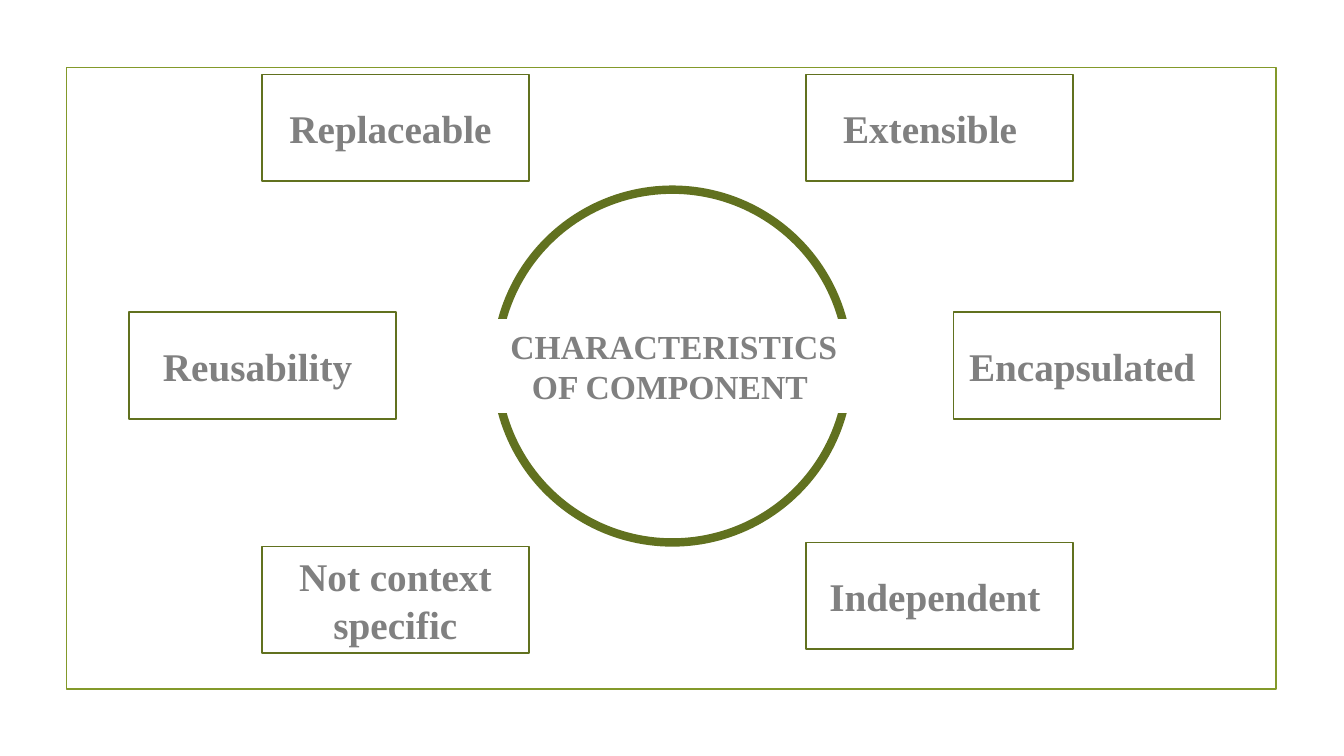
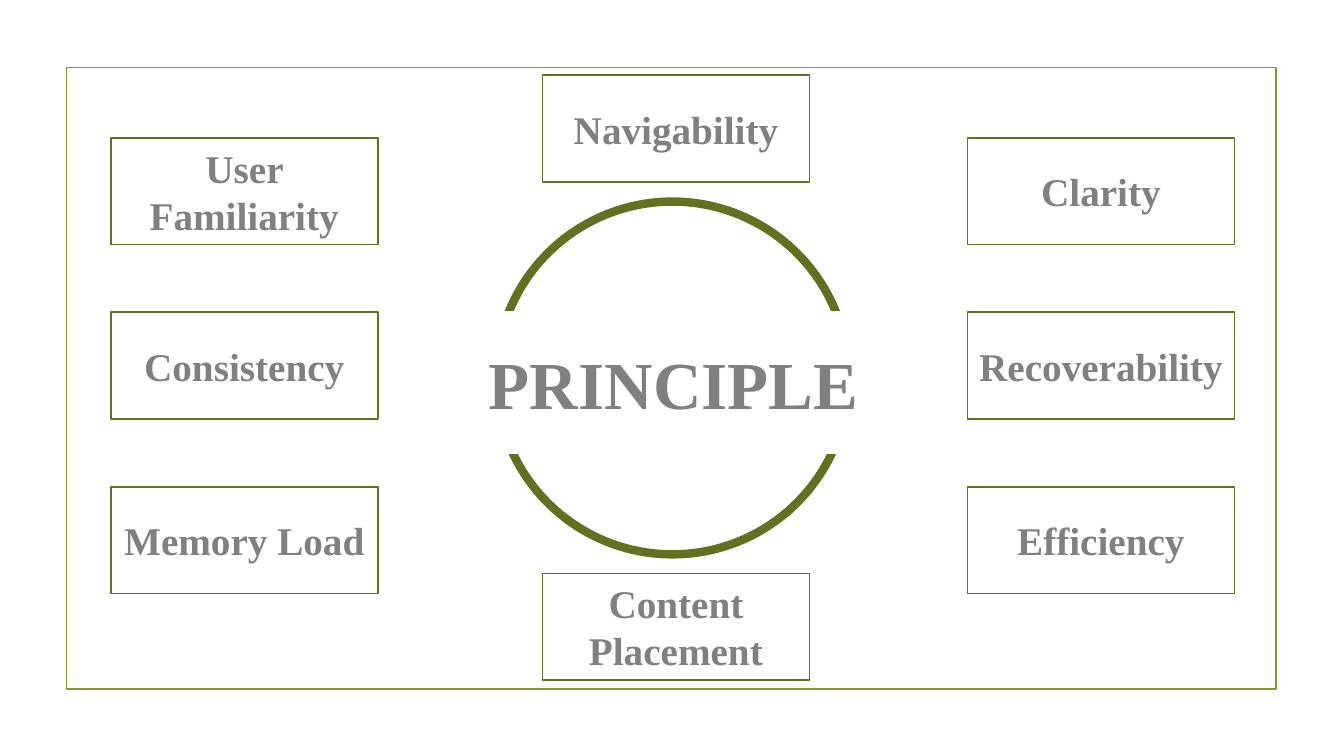
from pptx import Presentation
from pptx.dml.color import RGBColor
from pptx.enum.shapes import MSO_SHAPE
from pptx.enum.text import MSO_ANCHOR, MSO_AUTO_SIZE, PP_ALIGN
from pptx.util import Cm, Pt

COLORS = {"paper": "FFFFFF", "frame": "83992A", "olive": "61711F", "text": "808080"}
FONT = "Times New Roman"
SLIDE_W, SLIDE_H = 33.87, 19.05
FRAME = (1.68, 1.7, 30.48, 15.67)
BOX_W, BOX_H = 6.73, 2.69
RING_X, RING_D = 12.5, 8.89
TITLE_X, TITLE_W = 11.2, 11.56
MIDDLE_Y = 7.87
ROW_PITCH = 4.4


def color(name):
    return RGBColor.from_string(COLORS[name])


def style_shape(sp, line, width=1.25, fill="paper"):
    if fill:
        sp.fill.solid()
        sp.fill.fore_color.rgb = color(fill)
    else:
        sp.fill.background()
    sp.line.color.rgb = color(line)
    sp.line.width = Pt(width)


def add_plain(s, kind, box, line, width=1.25, fill="paper"):
    """Add a preset shape without shadow; box is left, top, width, height in cm."""
    sp = s.shapes.add_shape(kind, *map(Cm, box))
    sp.shadow.inherit = False
    style_shape(sp, line, width, fill)
    return sp


def write(sp, text, size):
    tf = sp.text_frame
    tf.text = text
    tf.word_wrap = True
    tf.auto_size = MSO_AUTO_SIZE.NONE
    tf.vertical_anchor = MSO_ANCHOR.MIDDLE
    for p in tf.paragraphs:
        p.alignment = PP_ALIGN.CENTER
        for r in p.runs:
            r.font.name = FONT
            r.font.size = Pt(size)
            r.font.bold = True
            r.font.color.rgb = color("text")


def add_master_frame(prs, s):
    """Draw the frame on a slide, then move it to the master for all slides."""
    frame = add_plain(s, MSO_SHAPE.RECTANGLE, FRAME, "frame", fill=None)
    prs.slide_master.shapes.element.append(frame.element)


def add_hub(s, text, size, ring_y, title_y, title_h):
    """Ring with the slide title as a band across it."""
    add_plain(s, MSO_SHAPE.OVAL, (RING_X, ring_y, RING_D, RING_D), "olive", 6)
    title = s.shapes.title
    title.left, title.top = Cm(TITLE_X), Cm(title_y)
    title.width, title.height = Cm(TITLE_W), Cm(title_h)
    style_shape(title, "paper")
    write(title, text, size)
    s.shapes.element.append(title.element)  # in front of the ring


def add_topics(s, topics):
    for text, x, y in topics:
        sp = add_plain(s, MSO_SHAPE.RECTANGLE, (x, y, BOX_W, BOX_H), "olive")
        write(sp, text, 28)


def add_column(s, x, names):
    """Three topics, evenly spaced about the middle row."""
    add_topics(s, [(name, x, MIDDLE_Y + i * ROW_PITCH)
                   for i, name in enumerate(names, -1)])


def characteristics_slide(s):
    add_hub(s, "CHARACTERISTICS\nOF COMPONENT ", 24, 4.78, 8.05, 2.34)
    add_topics(s, [
        ("Replaceable ", 6.6, 1.88),
        ("Reusability ", 3.25, MIDDLE_Y),
        ("Not context specific", 6.6, 13.77),
        ("Extensible  ", 20.32, 1.88),
        ("Encapsulated ", 24.03, MIDDLE_Y),
        ("Independent ", 20.32, 13.67),
    ])


def principle_slide(s):
    add_hub(s, "PRINCIPLE", 48, 5.08, 7.87, 3.56)
    add_column(s, 2.79, ["User Familiarity", "Consistency", "Memory Load"])
    add_topics(s, [("Navigability", 13.67, 1.9), ("Content Placement", 13.67, 14.45)])
    add_column(s, 24.38, ["Clarity", "Recoverability", "Efficiency"])


def main():
    prs = Presentation()
    prs.slide_width, prs.slide_height = Cm(SLIDE_W), Cm(SLIDE_H)
    title_only = prs.slide_layouts.get_by_name("Title Only")
    slides = [prs.slides.add_slide(title_only) for _ in range(2)]
    add_master_frame(prs, slides[0])
    characteristics_slide(slides[0])
    principle_slide(slides[1])
    prs.save("out.pptx")


if __name__ == "__main__":
    main()
